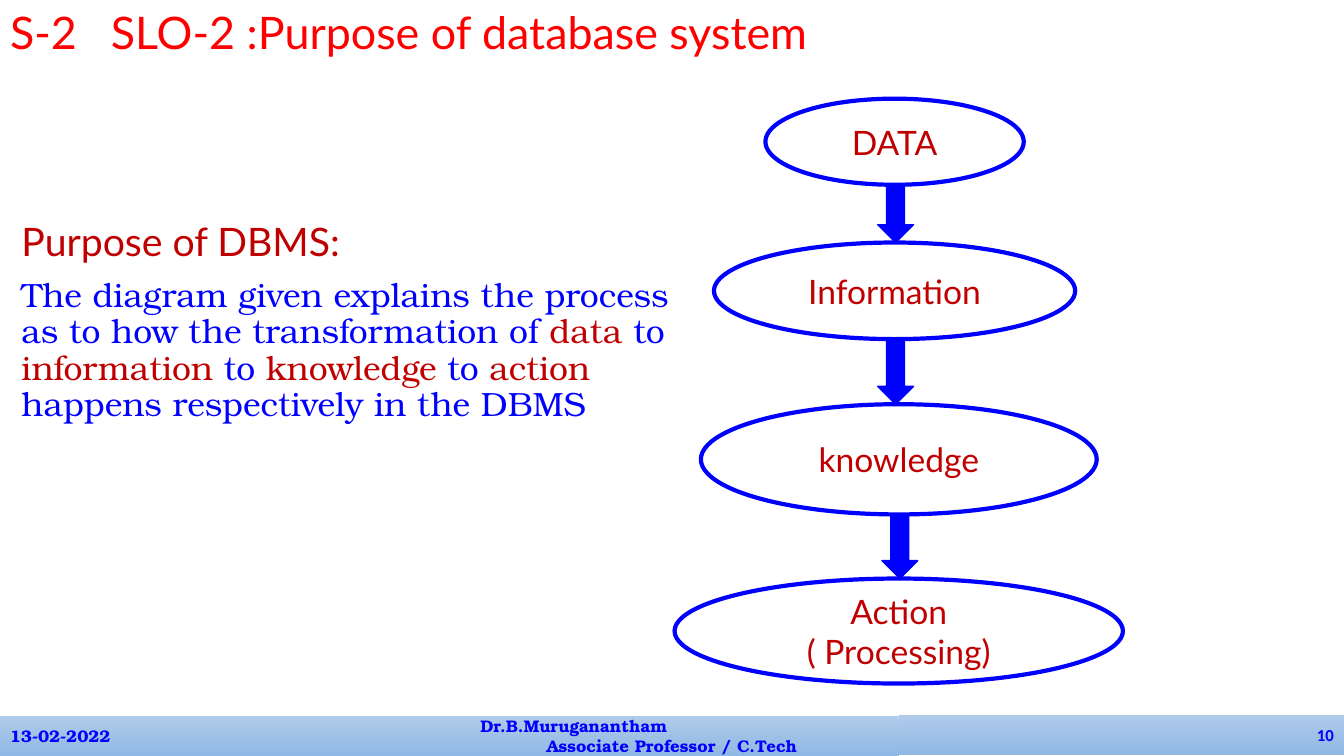
from dataclasses import dataclass

import pptx
import pptx.dml.color
import pptx.enum.shapes
import pptx.enum.text
import pptx.util

SHAPE = pptx.enum.shapes.MSO_SHAPE
ALIGN = pptx.enum.text.PP_ALIGN
ANCHOR = pptx.enum.text.MSO_ANCHOR
EMU_PER_PX = 9525


@dataclass(frozen=True)
class Theme:
    blue: str = "0000FF"
    dark_red: str = "C00000"
    red: str = "FF0000"
    band_top: str = "B0CAE9"
    band_bottom: str = "90B8E4"
    sans: str = "Lato"
    serif: str = "TeX Gyre Bonum"
    number_font: str = "Calibri"
    title_size: int = 32
    heading_size: int = 28
    text_size: int = 24
    footer_size: int = 12


THEME = Theme()

# Centre, top, width, height and lines of each stage
STAGES = [
    (852, 94, 246, 82, ["DATA"]),
    (852, 231, 344, 92, ["Information"]),
    (856, 385, 377, 105, ["knowledge"]),
    (856, 551, 427, 100, ["Action", "( Processing)"]),
]
ARROW_WIDTH = 34

EXPLANATION = [
    ("The diagram given explains the process as to how the transformation of ", THEME.blue),
    ("data", THEME.dark_red),
    (" to ", THEME.blue),
    ("information", THEME.dark_red),
    (" to ", THEME.blue),
    ("knowledge", THEME.dark_red),
    (" to ", THEME.blue),
    ("action", THEME.dark_red),
    (" happens respectively in the DBMS", THEME.blue),
]


def px(length):
    return pptx.util.Emu(round(length * EMU_PER_PX))


def rgb(value):
    return pptx.dml.color.RGBColor.from_string(value)


def write(frame, spans, *, font, size, bold=False, align=ALIGN.LEFT,
          line_spacing=None, space_before=0, margin_left=0):
    """Add one paragraph of (text, colour) spans, using the empty first one if free."""
    para = frame.paragraphs[0]
    if para.runs:
        para = frame.add_paragraph()
    para.alignment = align
    para.line_spacing = line_spacing
    para.space_before = pptx.util.Pt(space_before)
    if margin_left:
        para._p.get_or_add_pPr().set("marL", str(px(margin_left)))
    for text, colour in spans:
        span = para.add_run()
        span.text = text
        span.font.name = font
        span.font.size = pptx.util.Pt(size)
        span.font.bold = bold
        span.font.color.rgb = rgb(colour)


def add_title(page, text):
    title = page.shapes.title
    title.left, title.top, title.width, title.height = px(0), px(0), px(1152), px(113)
    frame = title.text_frame
    frame.word_wrap = True
    frame.auto_size = pptx.enum.text.MSO_AUTO_SIZE.NONE
    frame.vertical_anchor = ANCHOR.TOP
    write(frame, [(text, THEME.red)], font=THEME.sans, size=THEME.title_size)


def add_purpose(page):
    box = page.shapes.add_textbox(px(11), px(207), px(657), px(396))
    frame = box.text_frame
    frame.word_wrap = True
    write(frame, [("Purpose of DBMS:", THEME.dark_red)], font=THEME.sans,
          size=THEME.heading_size, line_spacing=0.9)
    write(frame, EXPLANATION, font=THEME.serif, size=THEME.text_size,
          line_spacing=0.9, space_before=10)


def add_plain_shape(page, kind, left, top, width, height):
    shape = page.shapes.add_shape(kind, px(left), px(top), px(width), px(height))
    shape.shadow.inherit = False
    shape.text_frame.word_wrap = True
    shape.text_frame.vertical_anchor = ANCHOR.MIDDLE
    return shape


def outline(shape, width):
    shape.line.color.rgb = rgb(THEME.blue)
    shape.line.width = pptx.util.Pt(width)


def add_stage(page, centre, top, width, height, lines):
    oval = add_plain_shape(page, SHAPE.OVAL, centre - width / 2, top, width, height)
    oval.fill.background()
    outline(oval, 3)
    for line in lines:
        write(oval.text_frame, [(line, THEME.dark_red)], font=THEME.sans,
              size=THEME.text_size, align=ALIGN.CENTER)


def add_arrow(page, centre, top, bottom):
    arrow = add_plain_shape(page, SHAPE.DOWN_ARROW, centre - ARROW_WIDTH / 2, top,
                            ARROW_WIDTH, bottom - top)
    arrow.fill.solid()
    arrow.fill.fore_color.rgb = rgb(THEME.blue)
    outline(arrow, 1)


def add_footer_band(page, left, top, width):
    """Add one gradient part of the footer and return its text frame."""
    band = add_plain_shape(page, SHAPE.RECTANGLE, left, top, width, 38)
    band.line.fill.background()
    band.fill.gradient()
    band.fill.gradient_angle = 270
    for stop, colour in zip(band.fill.gradient_stops, (THEME.band_top, THEME.band_bottom)):
        stop.color.rgb = rgb(colour)
    return band.text_frame


def add_footer(page):
    style = {"size": THEME.footer_size, "bold": True}
    date = add_footer_band(page, 0, 682, 424)
    write(date, [("13-02-2022", THEME.blue)], font=THEME.serif, **style)
    author = add_footer_band(page, 424, 682, 432)
    write(author, [("Dr.B.Muruganantham", THEME.blue)], font=THEME.serif,
          margin_left=24, **style)
    write(author, [("Associate Professor / C.Tech", THEME.blue)], font=THEME.serif,
          align=ALIGN.CENTER, **style)
    number = add_footer_band(page, 856, 681, 424)
    write(number, [("10", THEME.blue)], font=THEME.number_font, align=ALIGN.RIGHT, **style)


def main():
    deck = pptx.Presentation()
    deck.slide_width, deck.slide_height = px(1280), px(720)
    page = deck.slides.add_slide(deck.slide_layouts[5])
    add_title(page, "S-2 \tSLO-2 :Purpose of database system")
    add_purpose(page)
    add_footer(page)
    for stage in STAGES:
        add_stage(page, *stage)
    for (centre, top, _, height, _), following in zip(STAGES, STAGES[1:]):
        add_arrow(page, centre + 1, top + height, following[1])
    deck.save("out.pptx")


if __name__ == "__main__":
    main()
